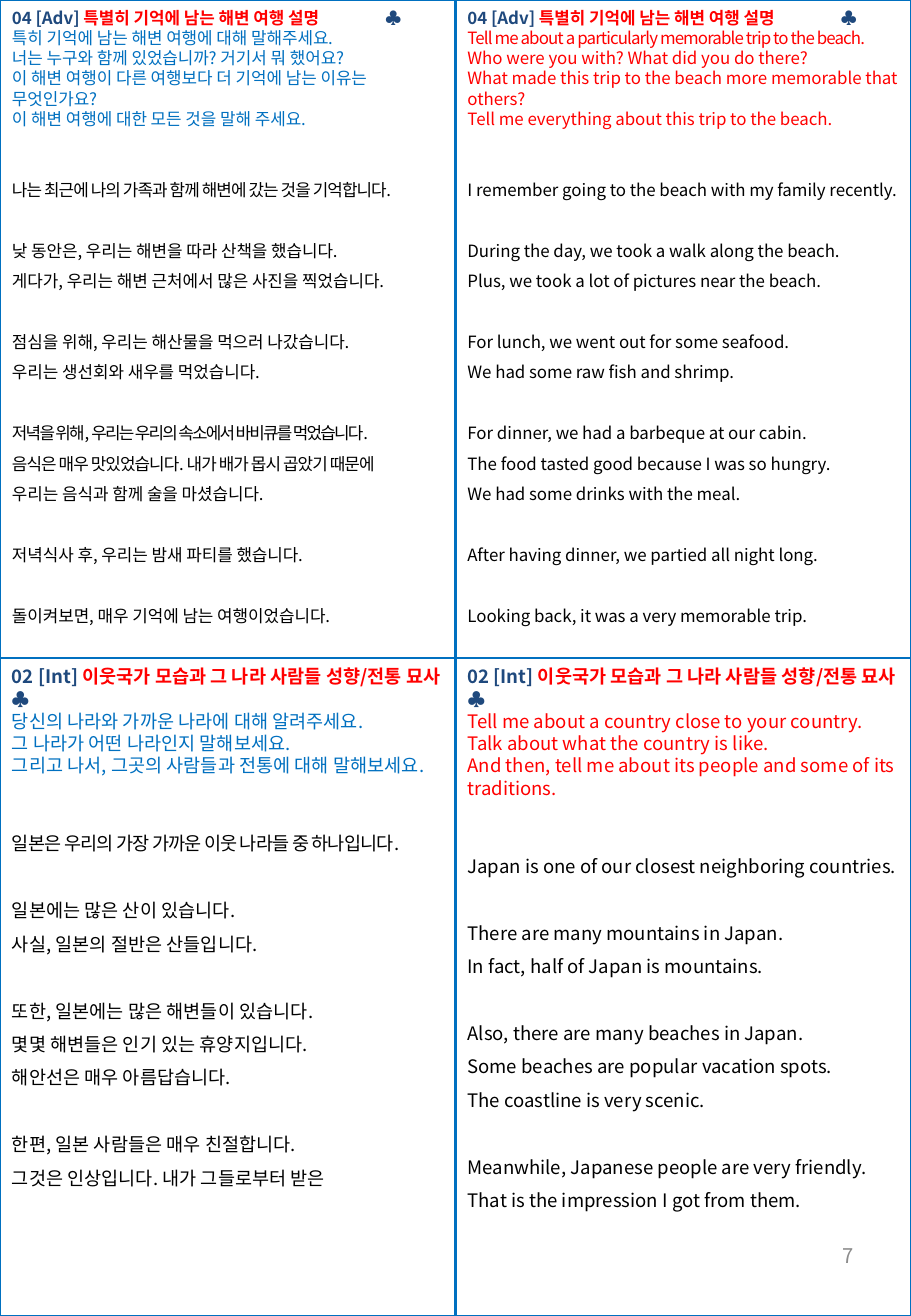
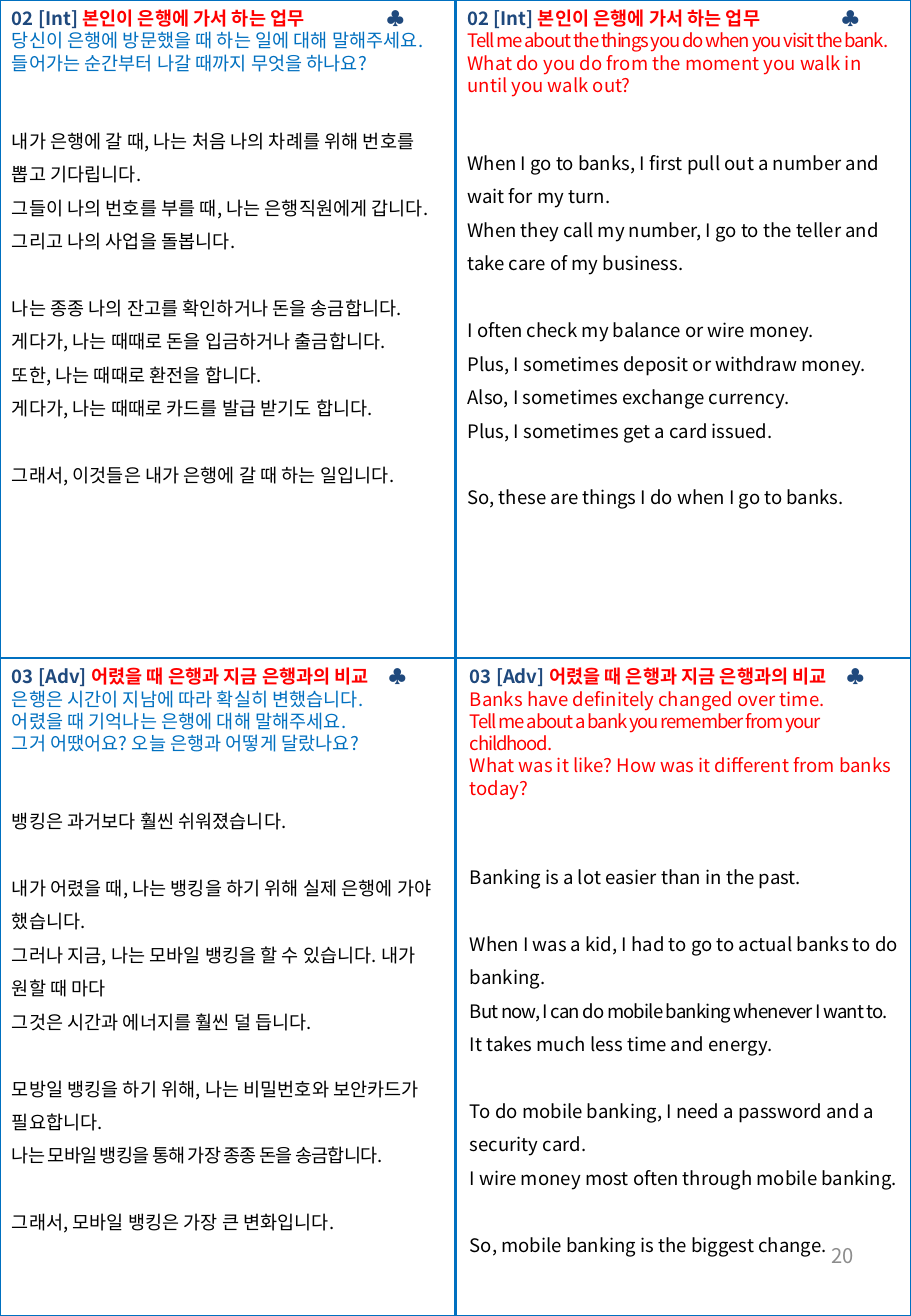
"""Builds two study sheets of paired Korean and English speaking-test cards."""
from lxml import etree
from pptx import Presentation
from pptx.dml.color import RGBColor
from pptx.enum.shapes import MSO_CONNECTOR, MSO_SHAPE
from pptx.enum.text import MSO_ANCHOR, MSO_AUTO_SIZE, PP_ALIGN
from pptx.oxml.ns import qn
from pptx.util import Inches, Pt

RECTANGLE = MSO_SHAPE.RECTANGLE
STRAIGHT = MSO_CONNECTOR.STRAIGHT
MIDDLE = MSO_ANCHOR.MIDDLE
RIGHT = PP_ALIGN.RIGHT
GROW = MSO_AUTO_SIZE.SHAPE_TO_FIT_TEXT
TOP_SIDE, LEFT_SIDE, BOTTOM_SIDE, RIGHT_SIDE = range(4)

WIDTH, HEIGHT = 7.5, 10.83
THEME = {
    "font": "Noto Sans CJK KR",
    "navy": "1F497D",
    "red": "FF0000",
    "blue": "0070C0",
    "black": "000000",
    "grey": "8C8C8C",
    "rule": 1.5,
    "page_size": 12,
    "line_height": 1.2,
    "answer_spacing": 1.5,
}
MARK = "♣"

SHEETS = [
    {"page": "7", "cards": [
        {"code": "04 [Adv] ", "topic": "특별히 기억에 남는 해변 여행 설명",
         "size": 10, "mark_at": 3.07, "height": 5.2, "sides": [
             {"ask": [
                 "특히 기억에 남는 해변 여행에 대해 말해주세요.",
                 "너는 누구와 함께 있었습니까? 거기서 뭐 했어요?",
                 "이 해변 여행이 다른 여행보다 더 기억에 남는 이유는 무엇인가요?",
                 "이 해변 여행에 대한 모든 것을 말해 주세요."],
              "answer": [
                  [("나는 최근에 나의 가족과 함께 해변에 갔는 것을 기억합니다.", -0.5)],
                  ["낮 동안은, 우리는 해변을 따라 산책을 했습니다.",
                   "게다가, 우리는 해변 근처에서 많은 사진을 찍었습니다."],
                  ["점심을 위해, 우리는 해산물을 먹으러 나갔습니다.",
                   "우리는 생선회와 새우를 먹었습니다."],
                  [("저녁을 위해, 우리는 우리의 속소에서 바비큐를 먹었습니다.", -1),
                   ("음식은 매우 맛있었습니다. 내가 배가 몹시 곱았기 때문에", -0.5),
                   "우리는 음식과 함께 술을 마셨습니다."],
                  ["저녁식사 후, 우리는 밤새 파티를 했습니다."],
                  ["돌이켜보면, 매우 기억에 남는 여행이었습니다."]]},
             {"ask": [
                 ("Tell me about a particularly memorable trip to the beach.", -0.5),
                 "Who were you with? What did you do there?",
                 "What made this trip to the beach more memorable that others?",
                 "Tell me everything about this trip to the beach."],
              "answer": [
                  ["I remember going to the beach with my family recently."],
                  ["During the day, we took a walk along the beach.",
                   "Plus, we took a lot of pictures near the beach."],
                  ["For lunch, we went out for some seafood.",
                   "We had some raw fish and shrimp."],
                  ["For dinner, we had a barbeque at our cabin.",
                   "The food tasted good because I was so hungry.",
                   "We had some drinks with the meal."],
                  ["After having dinner, we partied all night long."],
                  ["Looking back, it was a very memorable trip."]]}]},
        {"code": "02 [Int] ", "topic": "이웃국가 모습과 그 나라 사람들 성향/전통 묘사",
         "size": 11, "mark_at": 2.73, "height": 4.6, "sides": [
             {"ask": [
                 "당신의 나라와 가까운 나라에 대해 알려주세요.",
                 "그 나라가 어떤 나라인지 말해보세요.",
                 "그리고 나서, 그곳의 사람들과 전통에 대해 말해보세요."],
              "answer": [
                  [("일본은 우리의 가장 가까운 이웃 나라들 중 하나입니다.", -0.5)],
                  ["일본에는 많은 산이 있습니다.",
                   "사실, 일본의 절반은 산들입니다."],
                  ["또한, 일본에는 많은 해변들이 있습니다.",
                   "몇몇 해변들은 인기 있는 휴양지입니다.",
                   "해안선은 매우 아름답습니다."],
                  ["한편, 일본 사람들은 매우 친절합니다.",
                   "그것은 인상입니다. 내가 그들로부터 받은"]]},
             {"ask": [
                 "Tell me about a country close to your country.",
                 "Talk about what the country is like.",
                 "And then, tell me about its people and some of its traditions."],
              "answer": [
                  ["Japan is one of our closest neighboring countries."],
                  ["There are many mountains in Japan.",
                   "In fact, half of Japan is mountains."],
                  ["Also, there are many beaches in Japan.",
                   "Some beaches are popular vacation spots.",
                   "The coastline is very scenic."],
                  ["Meanwhile, Japanese people are very friendly.",
                   "That is the impression I got from them."]]}]},
    ]},
    {"page": "20", "cards": [
        {"code": "02 [Int] ", "topic": "본인이 은행에 가서 하는 업무",
         "size": 11, "mark_at": 3.08, "height": 4.23, "sides": [
             {"ask": [
                 "당신이 은행에 방문했을 때 하는 일에 대해 말해주세요.",
                 "들어가는 순간부터 나갈 때까지 무엇을 하나요?"],
              "answer": [
                  ["내가 은행에 갈 때, 나는 처음 나의 차례를 위해 번호를 뽑고 기다립니다.",
                   "그들이 나의 번호를 부를 때, 나는 은행직원에게 갑니다. 그리고 나의 사업을 돌봅니다."],
                  ["나는 종종 나의 잔고를 확인하거나 돈을 송금합니다.",
                   "게다가, 나는 때때로 돈을 입금하거나 출금합니다.",
                   "또한, 나는 때때로 환전을 합니다.",
                   "게다가, 나는 때때로 카드를 발급 받기도 합니다."],
                  ["그래서, 이것들은 내가 은행에 갈 때 하는 일입니다."]]},
             {"ask": [
                 ("Tell me about the things you do when you visit the bank.", -0.7),
                 "What do you do from the moment you walk in until you walk out?"],
              "answer": [
                  ["When I go to banks, I first pull out a number and wait for my turn.",
                   "When they call my number, I go to the teller and take care of my business."],
                  ["I often check my balance or wire money.",
                   "Plus, I sometimes deposit or withdraw money.",
                   "Also, I sometimes exchange currency.",
                   "Plus, I sometimes get a card issued."],
                  ["So, these are things I do when I go to banks."]]}]},
        {"code": "03 [Adv] ", "topic": "어렸을 때 은행과 지금 은행과의 비교",
         "size": 11, "mark_at": 3.1, "height": 4.79, "sides": [
             {"ask": [
                 "은행은 시간이 지남에 따라 확실히 변했습니다.",
                 "어렸을 때 기억나는 은행에 대해 말해주세요.",
                 "그거 어땠어요? 오늘 은행과 어떻게 달랐나요?"],
              "answer": [
                  ["뱅킹은 과거보다 훨씬 쉬워졌습니다."],
                  ["내가 어렸을 때, 나는 뱅킹을 하기 위해 실제 은행에 가야 했습니다.",
                   "그러나 지금, 나는 모바일 뱅킹을 할 수 있습니다. 내가 원할 때 마다",
                   "그것은 시간과 에너지를 훨씬 덜 듭니다."],
                  ["모방일 뱅킹을 하기 위해, 나는 비밀번호와 보안카드가 필요합니다.",
                   ("나는 모바일 뱅킹을 통해 가장 종종 돈을 송금합니다.", -0.5)],
                  ["그래서, 모바일 뱅킹은 가장 큰 변화입니다."]]},
             {"lead": 2.5, "shift": 0.02, "ask": [
                 "Banks have definitely changed over time.",
                 ("Tell me about a bank you remember from your childhood.", -0.7),
                 "What was it like? How was it different from banks today?"],
              "answer": [
                  ["Banking is a lot easier than in the past."],
                  ["When I was a kid, I had to go to actual banks to do banking.",
                   ("But now, I can do mobile banking whenever I want to.", -0.5),
                   "It takes much less time and energy."],
                  ["To do mobile banking, I need a password and a security card.",
                   "I wire money most often through mobile banking."],
                  ["So, mobile banking is the biggest change."]]}]},
    ]},
]


def add_run(paragraph, text, size, color, bold=False, tracking=0):
    run = paragraph.add_run()
    run.text = text
    for key, value in {"name": THEME["font"], "size": Pt(size), "bold": bold}.items():
        setattr(run.font, key, value)
    run.font.color.rgb = RGBColor.from_string(THEME[color])
    properties = run.font._element
    etree.SubElement(properties, qn("a:ea"), typeface=THEME["font"])
    if tracking:
        properties.set("spc", str(round(tracking * 100)))


def add_frame(slide, left, top, width, height, **settings):
    box = slide.shapes.add_textbox(*map(Inches, (left, top, width, height)))
    for key, value in {"word_wrap": True, **settings}.items():
        setattr(box.text_frame, key, value)
    return box.text_frame


def add_line(frame, line, size, color, **spacing):
    text, tracking = line if isinstance(line, tuple) else (line, 0)
    paragraph = frame.add_paragraph()
    for key, value in spacing.items():
        setattr(paragraph, key, value)
    add_run(paragraph, text, size, color, tracking=tracking)


def add_heading(paragraph, card):
    tabs = etree.SubElement(paragraph._p.get_or_add_pPr(), qn("a:tabLst"))
    etree.SubElement(tabs, qn("a:tab"), pos=str(Inches(card["mark_at"])), algn="l")
    for text, color in ((card["code"], "navy"), (card["topic"], "red"), ("\t" + MARK, "navy")):
        add_run(paragraph, text, card["size"], color, bold=True)


def add_side(slide, card, side, column, row):
    size, spacing = card["size"], THEME["answer_spacing"]
    blank = size * THEME["line_height"]
    left = column * WIDTH / 2 + side.get("shift", 0)
    frame = add_frame(slide, left, row * HEIGHT / 2 + 0.01, WIDTH / 2, card["height"], auto_size=GROW)
    add_heading(frame.paragraphs[0], card)
    for line in side["ask"]:
        add_line(frame, line, size, ("blue", "red")[column])
    for number, stanza in enumerate(side["answer"]):
        gap = blank * (spacing if number else side.get("lead", 2))
        for position, line in enumerate(stanza):
            add_line(frame, line, size, "black", line_spacing=spacing,
                     space_before=Pt(0 if position else gap))


def style_rule(line):
    line.color.rgb = RGBColor.from_string(THEME["blue"])
    line.width = Pt(THEME["rule"])


def add_grid(slide):
    border = slide.shapes.add_shape(RECTANGLE, 0, 0, Inches(WIDTH), Inches(HEIGHT))
    border.shadow.inherit = False
    border.fill.background()
    style_rule(border.line)
    for start, end in ((LEFT_SIDE, RIGHT_SIDE), (TOP_SIDE, BOTTOM_SIDE)):
        divider = slide.shapes.add_connector(STRAIGHT, 0, 0, 0, 0)
        divider.begin_connect(border, start)
        divider.end_connect(border, end)
        style_rule(divider.line)
        etree.SubElement(divider._element.spPr, qn("a:effectLst"))


def add_page_number(slide, number):
    frame = add_frame(slide, 5.38, 10.04, 1.75, 0.58, vertical_anchor=MIDDLE)
    frame.paragraphs[0].alignment = RIGHT
    add_run(frame.paragraphs[0], number, THEME["page_size"], "grey")


def main():
    deck = Presentation()
    deck.slide_width, deck.slide_height = Inches(WIDTH), Inches(HEIGHT)
    for sheet in SHEETS:
        slide = deck.slides.add_slide(deck.slide_layouts[6])
        add_grid(slide)
        add_page_number(slide, sheet["page"])
        for row, card in enumerate(sheet["cards"]):
            for column, side in enumerate(card["sides"]):
                add_side(slide, card, side, column, row)
    deck.save("out.pptx")


if __name__ == "__main__":
    main()
